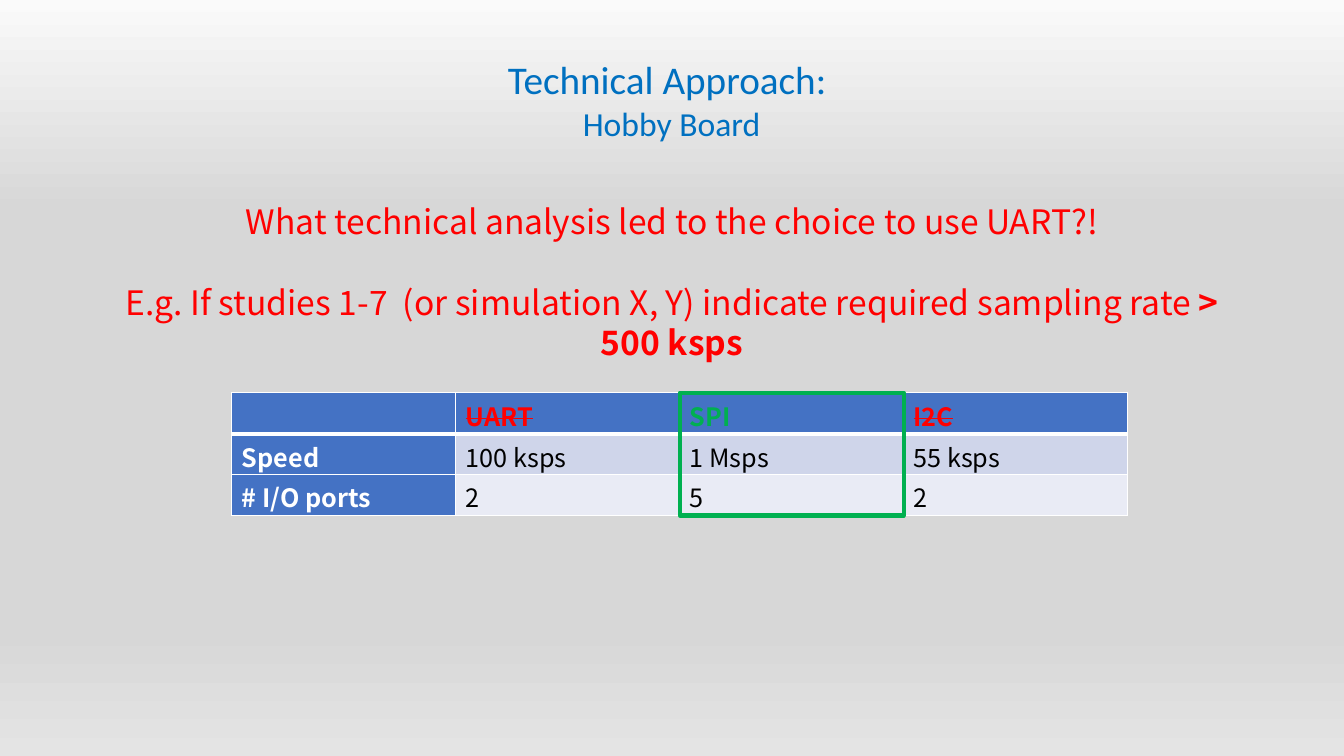
"""Build the technical approach slide comparing serial interfaces."""
from copy import deepcopy

from lxml import etree
from pptx import Presentation
from pptx import util as u
from pptx.dml.color import RGBColor
from pptx.enum import shapes, text
from pptx.oxml import ns

WHITE = RGBColor(0xFF, 0xFF, 0xFF)
BLACK = RGBColor(0, 0, 0)
RED = RGBColor(0xFF, 0, 0)
GREEN = RGBColor(0, 0xB0, 0x50)
TITLE_BLUE = RGBColor(0, 0x70, 0xC0)
HEADER_BLUE = RGBColor(0x44, 0x72, 0xC4)
BANDS = (RGBColor(0xCF, 0xD5, 0xEA), RGBColor(0xE9, 0xEB, 0xF5))
BACKDROP = (
    (0, RGBColor(0xFA, 0xFA, 0xFA)),
    (0.28, RGBColor(0xD7, 0xD7, 0xD7)),
    (0.83, RGBColor(0xD7, 0xD7, 0xD7)),
    (1, RGBColor(0xE4, 0xE4, 0xE4)),
)

TITLE_FONT = "Calibri"
BODY_FONT = "Noto Sans CJK SC"
LINE_PITCH = 1.2

TABLE_LEFT, TABLE_TOP = 5.84, 9.9
COLUMN_WIDTH, ROW_HEIGHT = 5.645, 1.03
INTERFACES = [
    ["", "UART", "SPI", "I2C"],
    ["Speed", "100 ksps", "1 Msps", "55 ksps"],
    ["# I/O ports", "2", "5", "2"],
]
CHOSEN = 2


class SlideBuilder:
    def __init__(self, slide, font):
        self.slide = slide
        self.font = font

    def backdrop(self, stops):
        fill = self.slide.background.fill
        fill.gradient()
        fill.gradient_angle = 270
        stop_list = next(self.slide.element.iter(ns.qn("a:gsLst")))
        for _ in range(len(stops) - len(stop_list)):
            stop_list.append(deepcopy(stop_list[0]))
        for stop, (position, color) in zip(fill.gradient_stops, stops):
            stop.position = position
            stop.color.rgb = color

    def style(self, run, size, color, bold=False, font=None):
        run.font.name = font or self.font
        run.font.size = u.Pt(size)
        run.font.bold = bold
        run.font.color.rgb = color
        for script in ("a:ea", "a:cs"):
            face = etree.SubElement(run.font._element, ns.qn(script))
            face.set("typeface", font or self.font)

    def text_box(self, left, top, width, height):
        box = self.slide.shapes.add_textbox(*map(u.Cm, (left, top, width, height)))
        box.text_frame.word_wrap = True
        return box.text_frame

    def title(self, heading, subject):
        line = self.text_box(4.57, 1.27, 24.71, 2.49).paragraphs[0]
        line.text = f"{heading}\v{subject}"
        line.alignment = text.PP_ALIGN.CENTER
        for run, size in zip(line.runs, (28, 24)):
            self.style(run, size, TITLE_BLUE, font=TITLE_FONT)

    def remarks(self, question, example, limit):
        size = 24
        frame = self.text_box(2.84, 4.95, 28.19, 4.3)
        frame.text = f"{question}\n{example}"
        frame.paragraphs[1].add_run().text = limit
        frame.paragraphs[1].space_before = u.Pt(size * LINE_PITCH)
        for paragraph in frame.paragraphs:
            paragraph.alignment = text.PP_ALIGN.CENTER
            paragraph.line_spacing = u.Pt(size * LINE_PITCH)
            for run in paragraph.runs:
                self.style(run, size, RED, bold=run.text == limit)

    def borders(self, cell, widths):
        properties = cell._tc.get_or_add_tcPr()
        for side, width in zip("LRTB", widths):
            line = etree.SubElement(properties, ns.qn(f"a:ln{side}"), w=str(u.Pt(width)))
            fill = etree.SubElement(line, ns.qn("a:solidFill"))
            etree.SubElement(fill, ns.qn("a:srgbClr"), val=str(WHITE))

    def cell(self, cell, words, fill, color, bold, struck):
        size = 18
        cell.margin_top, cell.margin_bottom = u.Cm(0.26), 0
        cell.fill.solid()
        cell.fill.fore_color.rgb = fill
        cell.text = words
        line = cell.text_frame.paragraphs[0]
        line.line_spacing = u.Pt(size * LINE_PITCH)
        for run in line.runs:
            self.style(run, size, color, bold)
            if struck:
                run.font._element.set("strike", "sngStrike")

    def table(self, rows):
        count, columns = len(rows), len(rows[0])
        lengths = (TABLE_LEFT, TABLE_TOP, COLUMN_WIDTH * columns, ROW_HEIGHT * count)
        table = self.slide.shapes.add_table(count, columns, *map(u.Cm, lengths)).table
        for r, row in enumerate(rows):
            table.rows[r].height = u.Cm(ROW_HEIGHT)
            for c, words in enumerate(row):
                header = r == 0
                if header:
                    color = GREEN if c == CHOSEN else RED
                else:
                    color = BLACK if c else WHITE
                label = header or c == 0
                fill = HEADER_BLUE if label else BANDS[r - 1]
                cell = table.cell(r, c)
                self.borders(cell, (1, 1, 3 if r == 1 else 1, 3 if header else 1))
                self.cell(cell, words, fill, color, label, header and c != CHOSEN)

    def frame(self, left, top, width, height):
        outline = self.slide.shapes.add_shape(
            shapes.MSO_SHAPE.RECTANGLE, *map(u.Cm, (left, top, width, height)))
        outline.shadow.inherit = False
        outline.fill.background()
        outline.line.color.rgb = GREEN
        outline.line.width = u.Pt(3)


def main():
    deck = Presentation()
    deck.slide_width, deck.slide_height = u.Cm(33.87), u.Cm(19.05)
    builder = SlideBuilder(deck.slides.add_slide(deck.slide_layouts[6]), BODY_FONT)
    builder.backdrop(BACKDROP)
    builder.title("Technical Approach: ", "Hobby Board")
    builder.remarks(
        "What technical analysis led to the choice to use UART?!",
        "E.g. If studies 1-7  (or simulation X, Y) indicate required sampling rate ",
        "> 500 ksps")
    builder.table(INTERFACES)
    builder.frame(TABLE_LEFT + CHOSEN * COLUMN_WIDTH, TABLE_TOP,
                  COLUMN_WIDTH, ROW_HEIGHT * len(INTERFACES))
    deck.save("out.pptx")


if __name__ == "__main__":
    main()
